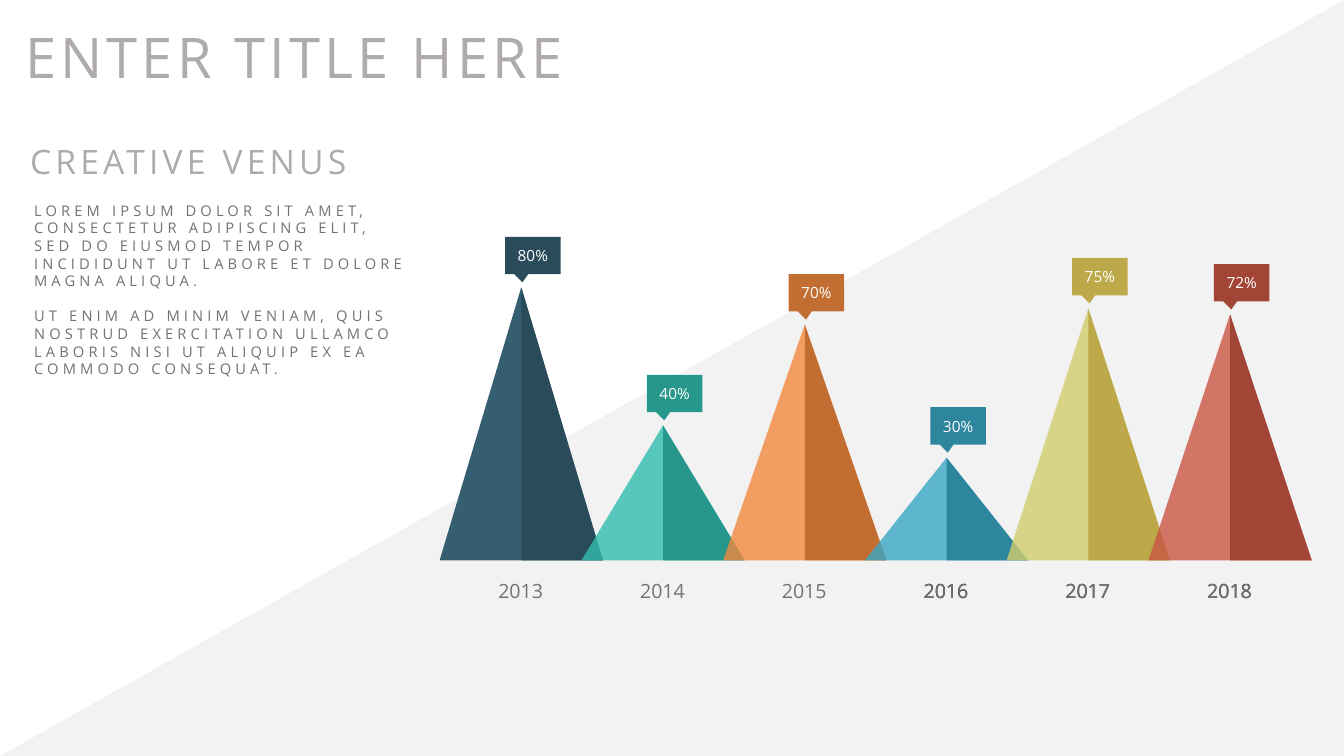
from pptx import Presentation, util as u
from pptx.dml.color import RGBColor
from pptx.enum import shapes, text
from pptx.oxml.ns import qn
from lxml import etree

WIDTH, HEIGHT = 13.33, 7.5
FONT = "Open Sans"
GREY, PALE, BACKDROP = "767171", "AFABAB", "F2F2F2"
WHITE, BLACK = "FFFFFF", "000000"

# year, share, peak height, light face, light face opacity in %, dark face, label layers
PEAKS = [
    ("2013", "80%", 2.71, "355E71", 100, "2A4B5A", [GREY]),
    ("2014", "40%", 1.34, "30BDAC", 80, "26978A", [GREY]),
    ("2015", "70%", 2.34, "F2893F", 80, "C26E32", [GREY]),
    ("2016", "30%", 1.02, "3AA7C6", 80, "2E869E", [BLACK, GREY]),
    ("2017", "75%", 2.50, "D1CC6D", 80, "BDA84A", [BLACK, GREY]),
    ("2018", "72%", 2.44, "CA5643", 80, "A24536", [BLACK, GREY]),
]
BODY = [
    "LOREM IPSUM DOLOR SIT AMET, CONSECTETUR ADIPISCING ELIT, SED DO EIUSMOD "
    "TEMPOR INCIDIDUNT UT LABORE ET DOLORE MAGNA ALIQUA.",
    "UT ENIM AD MINIM VENIAM, QUIS NOSTRUD EXERCITATION ULLAMCO LABORIS NISI "
    "UT ALIQUIP EX EA COMMODO CONSEQUAT.",
]


def rgb(color):
    return RGBColor.from_string(color)


def add_shape(s, kind, box, color, adjust=(), opacity=100):
    sp = s.shapes.add_shape(kind, *map(u.Inches, box))
    sp.shadow.inherit = False
    sp.fill.solid()
    sp.fill.fore_color.rgb = rgb(color)
    sp.line.fill.background()
    for i, value in enumerate(adjust):
        sp.adjustments[i] = value
    if opacity < 100:
        clr = sp._element.spPr.find(qn("a:solidFill")).find(qn("a:srgbClr"))
        etree.SubElement(clr, qn("a:alpha")).set("val", str(opacity * 1000))
    return sp


def write(tf, paragraphs, size, color, align, spacing=0, gap=0):
    tf.word_wrap = True
    for i, words in enumerate(paragraphs):
        p = tf.add_paragraph() if i else tf.paragraphs[0]
        p.alignment = align
        if i:
            p.space_before = u.Pt(gap)
        r = p.add_run()
        r.text = words
        r.font.name = FONT
        r.font.size = u.Pt(size)
        r.font.color.rgb = rgb(color)
        if spacing:
            r._r.get_or_add_rPr().set("spc", str(spacing * 100))


def add_text(s, box, paragraphs, size, color, align=text.PP_ALIGN.LEFT, **kw):
    tf = s.shapes.add_textbox(*map(u.Inches, box)).text_frame
    write(tf, paragraphs, size, color, align, **kw)
    tf.auto_size = text.MSO_AUTO_SIZE.SHAPE_TO_FIT_TEXT


def add_backdrop(s, box):
    add_shape(s, shapes.MSO_SHAPE.ISOSCELES_TRIANGLE, box, BACKDROP, [1])


def add_heading(s, box):
    x, y, w, h = box
    add_text(s, (x, y, w, 0.77), ["ENTER TITLE HERE"], 40, PALE, spacing=3)
    add_text(s, (x + 0.05, y + 1.18, 4.07, 0.5), ["CREATIVE VENUS"], 24, PALE, spacing=3)
    add_text(s, (x + 0.09, y + 1.78, 3.91, h - 1.78), BODY, 10.5, GREY, spacing=3, gap=12.6)


def add_peak_chart(s, box):
    left, top, width, height = box
    base = top + height
    peak_w = 1.62
    step = (width - peak_w) / (len(PEAKS) - 1)
    triangle = shapes.MSO_SHAPE.ISOSCELES_TRIANGLE
    center = text.PP_ALIGN.CENTER

    # Peaks: a full light triangle with a dark right half
    for i, (_, _, h, light, opacity, dark, _) in enumerate(PEAKS):
        x = left + i * step
        add_shape(s, triangle, (x, base - h, peak_w, h), light, opacity=opacity)
        add_shape(s, triangle, (x + peak_w / 2, base - h, peak_w / 2, h), dark, [0])

    # Callouts above the peaks and years below them
    for i, (year, share, h, _, _, dark, layers) in enumerate(PEAKS):
        x = left + i * step
        sp = add_shape(s, shapes.MSO_SHAPE.RECTANGULAR_CALLOUT,
                       (x + 0.65, base - h - 0.5, 0.55, 0.37), dark, [-0.187, 0.719])
        sp.text_frame.vertical_anchor = text.MSO_ANCHOR.MIDDLE
        write(sp.text_frame, [share], 11, WHITE, center)
        for color in layers:
            add_text(s, (x + 0.3, base + 0.13, 1.01, 0.34), [year], 14, color, center)


def main():
    prs = Presentation()
    prs.slide_width, prs.slide_height = u.Inches(WIDTH), u.Inches(HEIGHT)
    s = prs.slides.add_slide(prs.slide_layouts[6])
    add_backdrop(s, (0, 0, WIDTH, HEIGHT))
    add_peak_chart(s, (4.36, 2.34, 8.65, 3.22))
    add_heading(s, (0.15, 0.17, 6.27, 3.65))
    prs.save("out.pptx")


if __name__ == "__main__":
    main()
